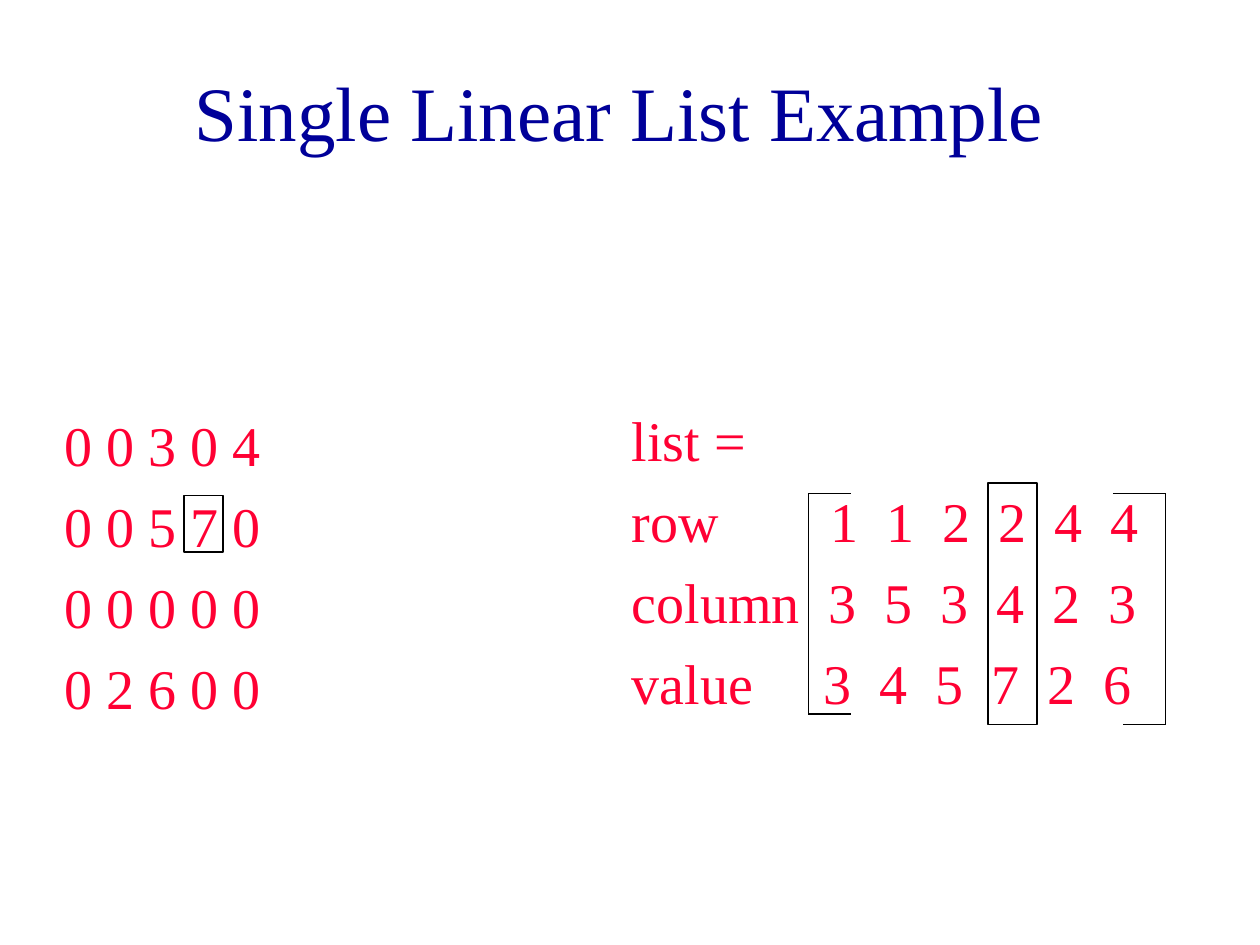
import itertools

import pptx
import pptx.dml.color
import pptx.enum.shapes
import pptx.enum.text
import pptx.oxml.ns
import pptx.util
from lxml import etree

RGBColor = pptx.dml.color.RGBColor
NAVY = RGBColor(0x00, 0x00, 0x99)
RED = RGBColor(0xFF, 0x00, 0x33)
BLACK = RGBColor(0x00, 0x00, 0x00)
FONT = "Times New Roman"
COLS, ROWS = 120, 90
STEP = 0.444  # inches between list entries

MATRIX = ["0 0 3 0 4", "0 0 5 7 0", "0 0 0 0 0", "0 2 6 0 0"]
# label, inches to the first entry, entries
LIST = [
    ("row", 1.58, "112244"),
    ("column", 1.56, "353423"),
    ("value", 1.52, "345726"),
]
LEFT = [(81, 47), (77, 47), (77, 68), (81, 68)]
RIGHT = [(106, 47), (111, 47), (111, 69), (107, 69)]


def grid(*cells):
    """Turn counts of grid cells, each 1/12 inch, into lengths."""
    return [pptx.util.Inches(n / 12) for n in cells]


def add_box(slide, cells, top=0.05):
    frame = slide.shapes.add_textbox(*grid(*cells)).text_frame
    frame.word_wrap = True
    frame.margin_top = pptx.util.Inches(top)
    return frame


def add_run(para, text, size, color):
    run = para.add_run()
    run.text = text
    run.font.name = FONT
    run.font.size = pptx.util.Pt(size)
    run.font.color.rgb = color


def add_tabs(para, stops):
    tag = pptx.oxml.ns.qn
    tabs = etree.SubElement(para._p.get_or_add_pPr(), tag("a:tabLst"))
    for stop in stops:
        place = str(int(pptx.util.Inches(stop)))
        etree.SubElement(tabs, tag("a:tab"), pos=place, algn="l")


def add_rows(frame, rows):
    """Write (text, tab stops) pairs, one paragraph each."""
    for i, (text, stops) in enumerate(rows):
        para = frame.add_paragraph() if i else frame.paragraphs[0]
        if i:
            para.space_before = pptx.util.Pt(8)
        if stops:
            add_tabs(para, stops)
        add_run(para, text, 32, RED)


def set_line(shape):
    shape.line.color.rgb = BLACK
    shape.line.width = pptx.util.Pt(1)


def add_bracket(slide, points):
    kind = pptx.enum.shapes.MSO_CONNECTOR.STRAIGHT
    for start, end in itertools.pairwise(points):
        line = slide.shapes.add_connector(kind, *grid(*start, *end))
        set_line(line)
        etree.SubElement(line._element.spPr,
                         pptx.oxml.ns.qn("a:effectLst"))


def add_frame(slide, cells):
    kind = pptx.enum.shapes.MSO_SHAPE.RECTANGLE
    rect = slide.shapes.add_shape(kind, *grid(*cells))
    rect.shadow.inherit = False
    rect.fill.background()
    set_line(rect)


def main():
    deck = pptx.Presentation()
    deck.slide_width, deck.slide_height = grid(COLS, ROWS)
    slide = deck.slides.add_slide(deck.slide_layouts[6])

    title = add_box(slide, (8, 3, 102, 15))
    title.vertical_anchor = pptx.enum.text.MSO_ANCHOR.MIDDLE
    para = title.paragraphs[0]
    para.alignment = pptx.enum.text.PP_ALIGN.CENTER
    add_run(para, "Single Linear List Example", 44, NAVY)

    matrix = add_box(slide, (5, 23, 41, 56), top=1.34)
    add_rows(matrix, [(row, []) for row in MATRIX])

    rows = [("list =", [])]
    for label, first, items in LIST:
        stops = [first + STEP * i for i in range(len(items))]
        rows.append(("\t".join([label, *items]), stops))
    add_rows(add_box(slide, (59, 38, 57, 37)), rows)

    for points in (LEFT, RIGHT):
        add_bracket(slide, points)
    add_frame(slide, (94.1, 46, 4.7, 23))
    add_frame(slide, (17.5, 47.2, 3.75, 5.4))
    deck.save("out.pptx")


if __name__ == "__main__":
    main()
